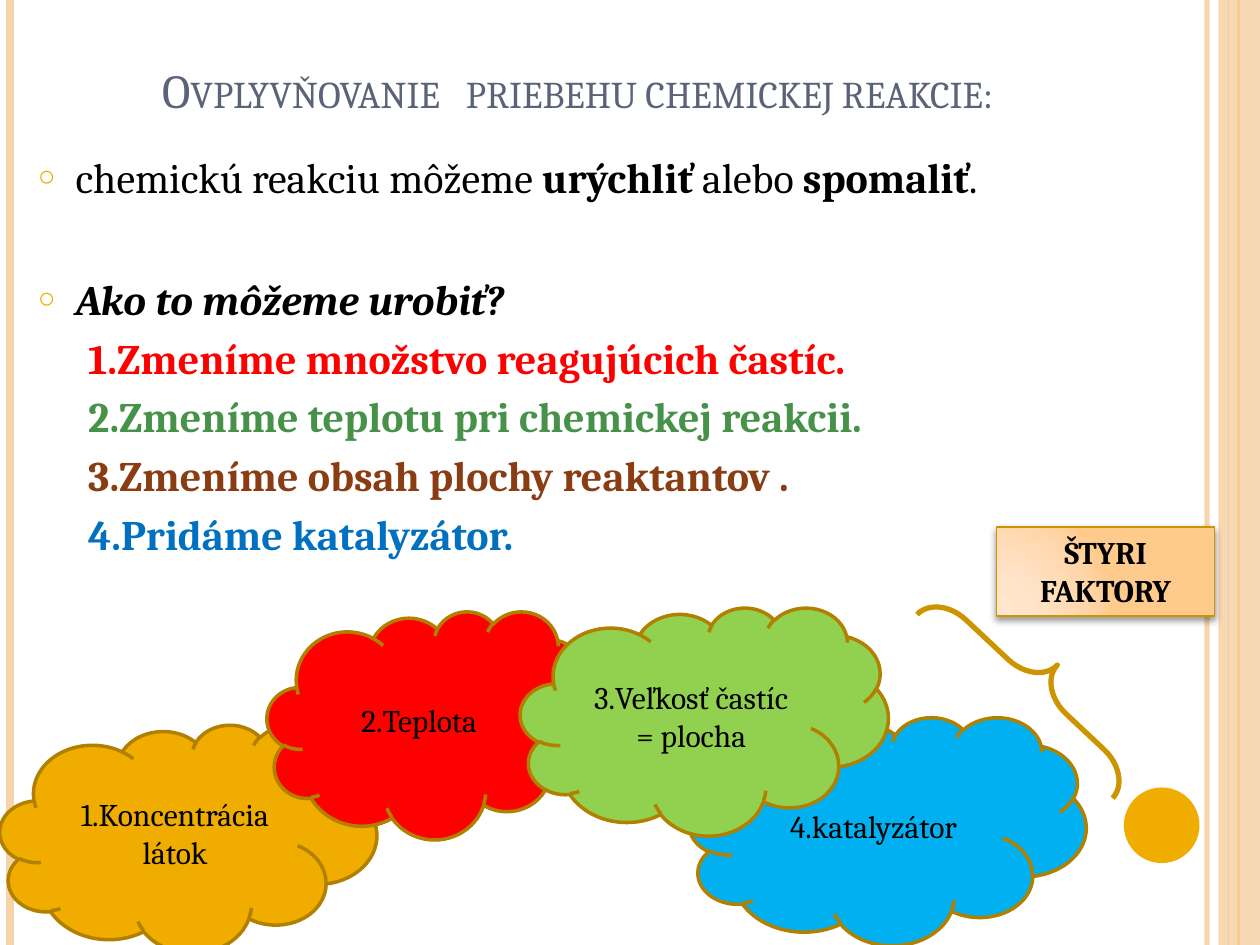
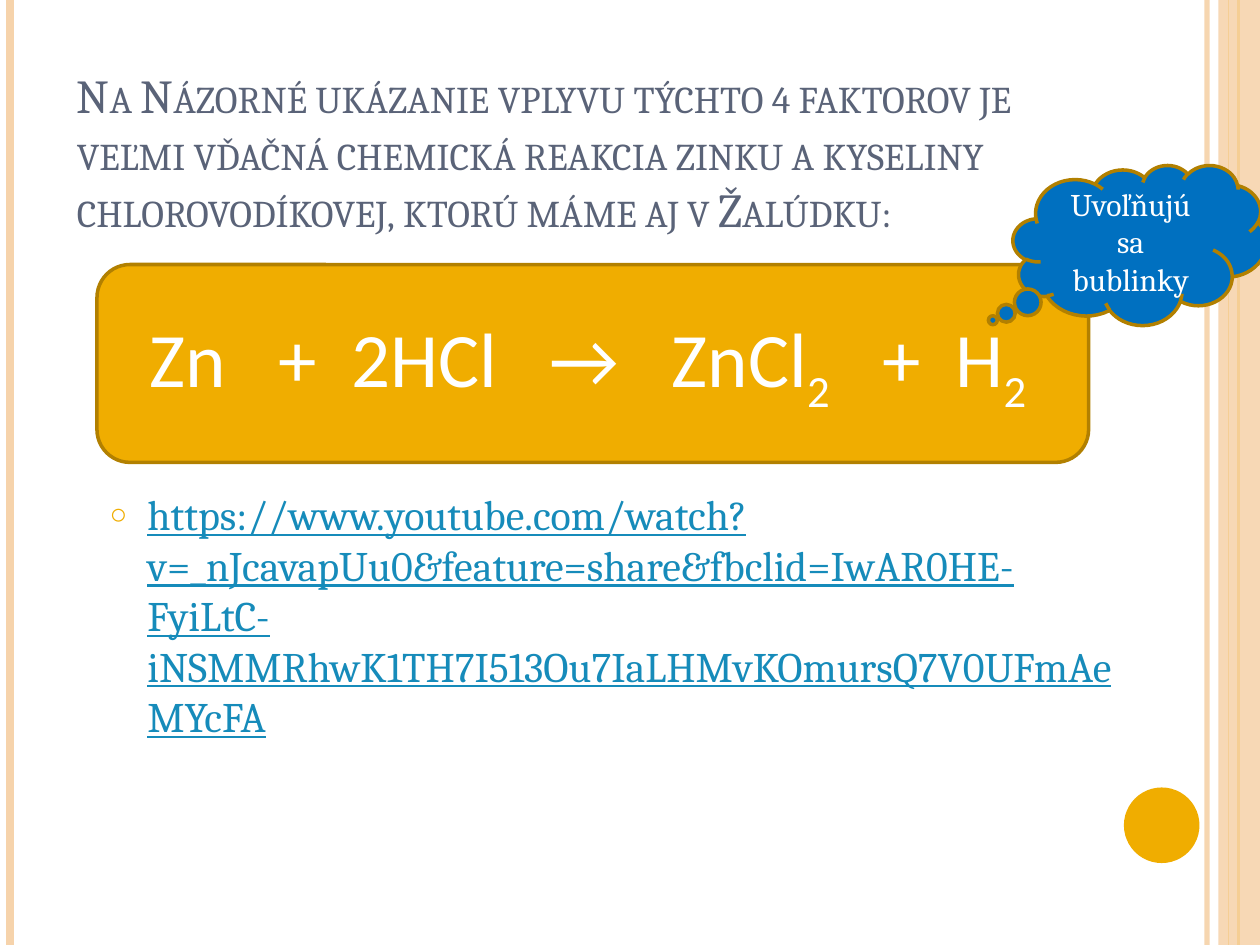
from dataclasses import dataclass
from typing import Optional

from lxml import etree
from pptx import Presentation
from pptx import util as u
from pptx.dml.color import RGBColor
from pptx.enum import shapes, text
from pptx.oxml import parse_xml
from pptx.oxml.ns import nsdecls, qn

SCALE = 9144  # EMU per px, 100 px to the inch
WIDE, HIGH = 1000, 750
KIND = shapes.MSO_SHAPE
ALIGN = text.PP_ALIGN
ANCHOR = text.MSO_ANCHOR


@dataclass(frozen=True)
class Theme:
    serif: str = "Cambria"
    sans: str = "Calibri"
    head: int = 27
    body: int = 24
    label: int = 18
    sum: int = 44
    slate: str = "5A6378"
    black: str = "000000"
    white: str = "FFFFFF"
    gold: str = "F0AD00"
    bronze: str = "B28000"
    ochre: str = "CE9400"
    peach: str = "F6D3AB"
    red: str = "FF0000"
    green: str = "479249"
    brown: str = "8A3C12"
    blue: str = "0070C0"
    sky: str = "00B0F0"
    lime: str = "92D050"
    link: str = "168BBA"
    glow: tuple = ((0, "FFE7CE"), (30, "FFE4CA"), (75, "FFD7AC"), (100, "FFCB8D"))


T = Theme()


@dataclass(frozen=True)
class Box:
    x: int
    y: int
    w: int
    h: int

    def emu(self) -> list:
        return [px(v) for v in (self.x, self.y, self.w, self.h)]


@dataclass(frozen=True)
class Run:
    text: str
    bold: bool = False
    slant: bool = False
    under: bool = False
    small: bool = False
    sub: bool = False
    gap: float = 0  # extra points after each letter


@dataclass(frozen=True)
class Style:
    size: int
    color: str
    font: str = T.serif


@dataclass(frozen=True)
class Item:
    runs: tuple
    color: str = T.black
    level: int = 0
    before: float = 0


@dataclass(frozen=True)
class Rule:
    x: int
    color: str
    width: float
    alpha: Optional[int] = None


@dataclass(frozen=True)
class Cloud:
    text: str
    box: Box
    fill: str


RULES = (
    Rule(958, T.peach, 3, 93),
    Rule(8, T.peach, 4.5),
    Rule(983, T.gold, 1.5),
    Rule(975, T.gold, 0.75),
)
BAND = Box(967, 0, 33, HIGH)
DISC = Box(892, 625, 60, 60)

STEPS = (
    ("1.Zmeníme množstvo reagujúcich častíc.", T.red),
    ("2.Zmeníme teplotu pri chemickej reakcii.", T.green),
    ("3.Zmeníme obsah plochy reaktantov .", T.brown),
    ("4.Pridáme katalyzátor.", T.blue),
)
CLOUDS = (
    Cloud("1.Koncentrácia látok", Box(0, 575, 299, 181), T.gold),
    Cloud("2.Teplota", Box(212, 485, 260, 181), T.red),
    Cloud("4.katalyzátor", Box(547, 569, 315, 181), T.sky),
    Cloud("3.Veľkosť častíc = plocha", Box(413, 482, 292, 181), T.lime),
)
URL = (
    "https://www.youtube.com/watch?v=_nJcavapUu0&feature=share&fbclid="
    "IwAR0HE-FyiLtC-iNSMMRhwK1TH7I513Ou7IaLHMvKOmursQ7V0UFmAeMYcFA"
)


def px(n: int) -> int:
    return n * SCALE


def rgb(code: str) -> RGBColor:
    return RGBColor.from_string(code)


def fade(shape, alpha: int) -> None:
    """Make the first colour of the shape partly clear."""
    tone = shape._element.find(".//" + qn("a:srgbClr"))
    etree.SubElement(tone, qn("a:alpha")).set("val", str(alpha * 1000))


def put_runs(para, runs: tuple, style: Style) -> None:
    for part in runs:
        run = para.add_run()
        run.text = part.text
        font = run.font
        font.name, font.size = style.font, u.Pt(style.size)
        font.color.rgb = rgb(style.color)
        font.bold, font.italic, font.underline = part.bold, part.slant, part.under
        props = font._element
        if part.small:
            props.set("cap", "small")
        if part.sub:
            props.set("baseline", "-25000")
        if part.gap:
            props.set("spc", str(round(part.gap * 100)))


def put_shape(slide, kind, box: Box, fill: Optional[str] = None,
              line: Optional[str] = None, width: float = 2):
    shape = slide.shapes.add_shape(kind, *box.emu())
    shape.shadow.inherit = False
    if fill:
        shape.fill.solid()
        shape.fill.fore_color.rgb = rgb(fill)
    else:
        shape.fill.background()
    if line:
        shape.line.color.rgb = rgb(line)
        shape.line.width = u.Pt(width)
    else:
        shape.line.fill.background()
    return shape


def put_label(shape, runs: tuple, style: Style, anchor=ANCHOR.MIDDLE) -> None:
    frame = shape.text_frame
    frame.word_wrap = True
    frame.vertical_anchor = anchor
    para = frame.paragraphs[0]
    para.alignment = ALIGN.CENTER
    put_runs(para, runs, style)


def put_rule(slide, rule: Rule) -> None:
    line = slide.shapes.add_connector(
        shapes.MSO_CONNECTOR.STRAIGHT, px(rule.x), 0, px(rule.x), px(HIGH))
    line.line.color.rgb = rgb(rule.color)
    line.line.width = u.Pt(rule.width)
    etree.SubElement(line._element.spPr, qn("a:effectLst"))
    if rule.alpha:
        fade(line, rule.alpha)


def place(holder, box: Box):
    holder.left, holder.top, holder.width, holder.height = box.emu()
    frame = holder.text_frame
    frame.word_wrap = True
    frame.auto_size = text.MSO_AUTO_SIZE.NONE
    return frame


def put_title(slide, box: Box, runs: tuple, align) -> None:
    frame = place(slide.shapes.title, box)
    frame.vertical_anchor = ANCHOR.BOTTOM
    para = frame.paragraphs[0]
    para.alignment = align
    put_runs(para, runs, Style(T.head, T.slate))


def set_mark(para, level: int) -> None:
    """Give top items a ring bullet, and lower ones a plain indent."""
    props = para._p.get_or_add_pPr()
    if level:
        para.level = level
        props.set("marL", str(px(40)))
        props.set("indent", "0")
        etree.SubElement(props, qn("a:buNone"))
        return
    props.set("marL", str(px(30)))
    props.set("indent", str(px(-30)))
    tone = etree.SubElement(props, qn("a:buClr"))
    etree.SubElement(tone, qn("a:srgbClr")).set("val", T.gold)
    etree.SubElement(props, qn("a:buSzPct")).set("val", "70000")
    etree.SubElement(props, qn("a:buChar")).set("char", "○")


def put_list(slide, box: Box, items: tuple) -> None:
    frame = place(slide.placeholders[1], box)
    for i, item in enumerate(items):
        para = frame.add_paragraph() if i else frame.paragraphs[0]
        set_mark(para, item.level)
        para.alignment = ALIGN.LEFT
        para.space_before = u.Pt(item.before)
        put_runs(para, item.runs, Style(T.body, item.color))


def new_slide(deck):
    slide = deck.slides.add_slide(deck.slide_layouts[1])
    for rule in RULES:
        put_rule(slide, rule)
    fade(put_shape(slide, KIND.RECTANGLE, BAND, T.peach), 87)
    put_shape(slide, KIND.OVAL, DISC, T.gold)
    return slide


def put_badge(slide) -> None:
    badge = put_shape(slide, KIND.RECTANGLE, Box(791, 418, 173, 71), None, T.ochre, 1)
    stops = "".join(
        f'<a:gs pos="{pos * 1000}"><a:srgbClr val="{tone}"/></a:gs>'
        for pos, tone in T.glow)
    glow = parse_xml(
        f'<a:gradFill {nsdecls("a")} rotWithShape="1"><a:gsLst>{stops}</a:gsLst>'
        '<a:path path="circle"><a:fillToRect l="5000" t="100000" r="120000" b="10000"/>'
        '</a:path></a:gradFill>')
    props = badge._element.spPr
    props.replace(props.find(qn("a:noFill")), glow)
    props.find(qn("a:effectLst")).append(parse_xml(
        f'<a:outerShdw {nsdecls("a")} blurRad="{u.Pt(4)}" dist="{u.Pt(2)}" dir="5400000"'
        f' rotWithShape="0"><a:srgbClr val="{T.black}"><a:alpha val="40000"/></a:srgbClr>'
        '</a:outerShdw>'))
    put_label(badge, (Run("ŠTYRI FAKTORY", bold=True),),
              Style(T.label, T.black), ANCHOR.TOP)


def factors(deck) -> None:
    slide = new_slide(deck)
    put_title(slide, Box(50, 30, 817, 69), (
        Run("Ovplyvňovanie", small=True),
        Run(" ", small=True, gap=5),
        Run("priebehu chemickej reakcie:", small=True),
    ), ALIGN.CENTER)
    lead = (
        Run("chemickú reakciu môžeme "), Run("urýchliť ", bold=True),
        Run("alebo "), Run("spomaliť", bold=True), Run("."),
    )
    ask = (Run("Ako to môžeme urobiť?", bold=True, slant=True),)
    steps = tuple(Item((Run(step, bold=True),), tone, 1, 4.8) for step, tone in STEPS)
    put_list(slide, Box(20, 115, 980, 577), (Item(lead), Item(ask, before=41)) + steps)
    brace = put_shape(slide, KIND.RIGHT_BRACE, Box(798, 437, 47, 213), None, T.ochre, 3)
    brace.rotation = 313.2
    brace.adjustments[0], brace.adjustments[1] = 0.67, 0.51
    put_badge(slide)
    for cloud in CLOUDS:
        shape = put_shape(slide, KIND.CLOUD, cloud.box, cloud.fill, T.bronze)
        put_label(shape, (Run(cloud.text),), Style(T.label, T.black))


def demo(deck) -> None:
    slide = new_slide(deck)
    put_title(slide, Box(51, 6, 836, 187), (Run(
        "Na Názorné ukázanie vplyvu týchto 4 faktorov je veľmi vďačná chemická "
        "reakcia zinku a kyseliny chlorovodíkovej, ktorú máme aj v Žalúdku:",
        small=True),), ALIGN.LEFT)
    put_list(slide, Box(77, 383, 819, 157), (Item((Run(URL, under=True),), T.link),))
    panel = put_shape(slide, KIND.ROUNDED_RECTANGLE, Box(77, 210, 787, 157),
                      T.gold, T.bronze)
    far, near = Run(" ", gap=20), Run(" ", gap=10)
    put_label(panel, (
        Run("Zn"), far, Run("+"), near, Run("2HCl"), far, Run("→"), far,
        Run("ZnCl"), Run("2", sub=True), far, Run("+"), near,
        Run("H"), Run("2 ", sub=True),
    ), Style(T.sum, T.white, T.sans))
    bubble = put_shape(slide, KIND.CLOUD_CALLOUT, Box(804, 131, 201, 127),
                       T.blue, T.bronze)
    bubble.adjustments[0], bubble.adjustments[1] = -0.58, 0.47
    put_label(bubble, (Run("Uvoľňujú sa bublinky"),), Style(T.label, T.white))


def main() -> None:
    deck = Presentation()
    deck.slide_width, deck.slide_height = px(WIDE), px(HIGH)
    factors(deck)
    demo(deck)
    deck.save("out.pptx")


if __name__ == "__main__":
    main()
